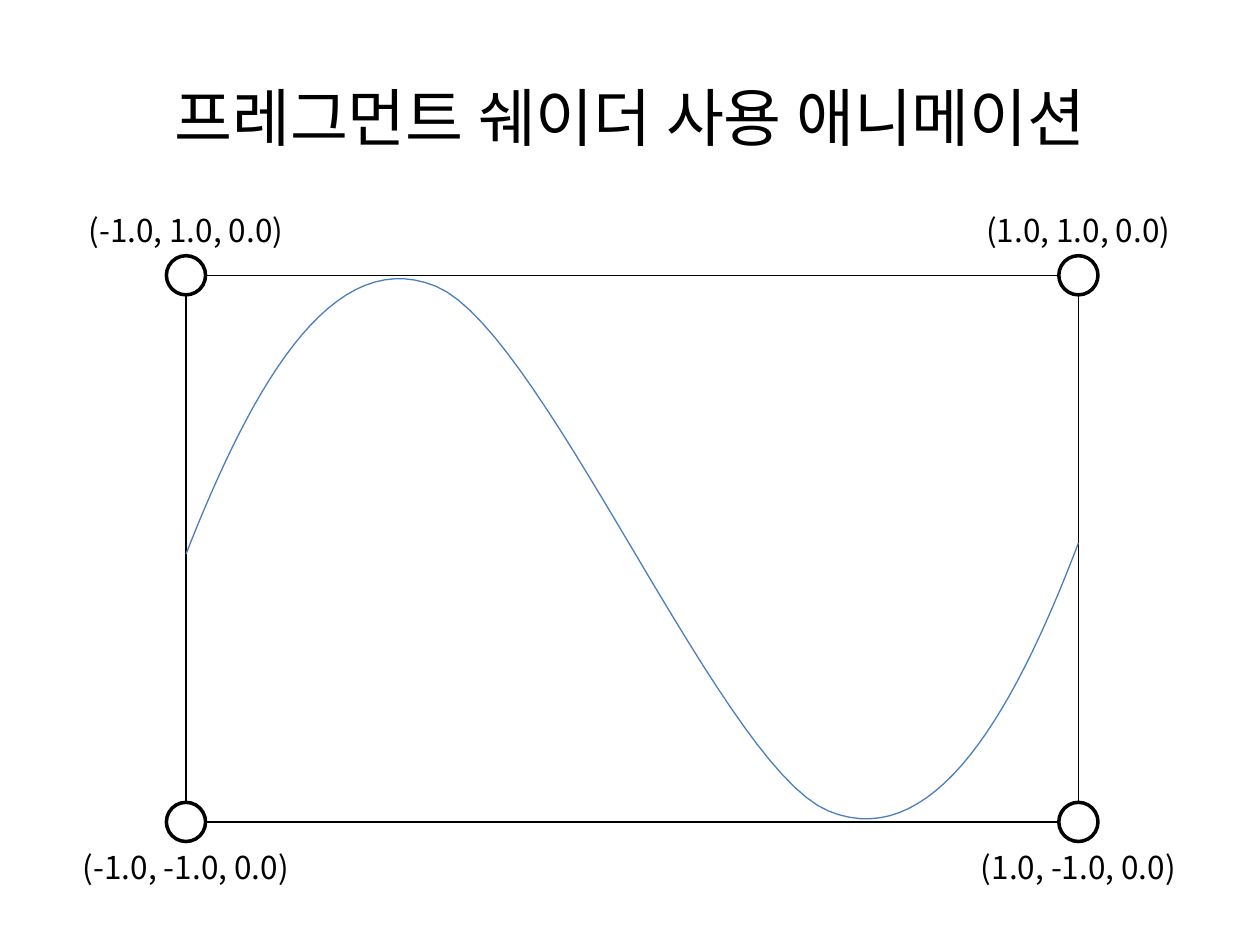
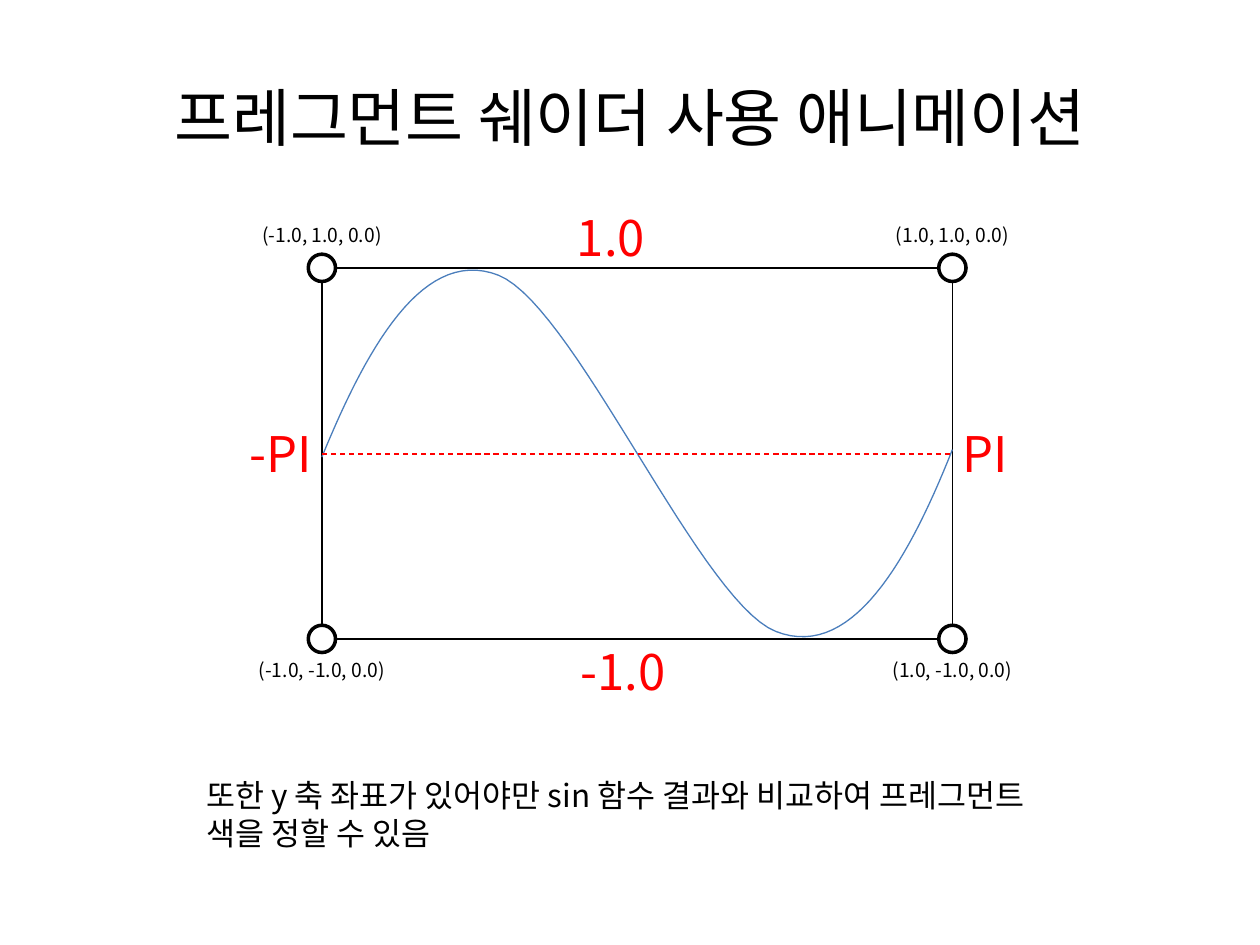
import dataclasses
import pptx
import pptx.util
import pptx.dml.color
import pptx.enum.dml
import pptx.enum.shapes
import pptx.enum.text
import pptx.oxml.ns
import lxml.etree

Cm, Pt = pptx.util.Cm, pptx.util.Pt
RGB = pptx.dml.color.RGBColor.from_string
ALIGN = pptx.enum.text.PP_ALIGN
ANCHOR = pptx.enum.text.MSO_ANCHOR
qn = pptx.oxml.ns.qn


@dataclasses.dataclass
class Theme:
    font: str = "Noto Sans CJK KR"
    ink: str = "000000"
    paper: str = "FFFFFF"
    accent: str = "FF0000"
    curve: str = "4B7EBC"
    title: float = 36
    range: float = 28
    body: float = 18
    small: float = 11
    ring: float = 2
    thin: float = 0.75


theme = Theme()


def write(shape, text, size, color, align):
    tf = shape.text_frame
    tf.word_wrap = True
    p = tf.paragraphs[0]
    p.alignment = align
    r = p.add_run()
    r.text = text
    r.font.name = theme.font
    r.font.size = Pt(size)
    r.font.color.rgb = RGB(color)
    lxml.etree.SubElement(r.font._element, qn("a:ea"), typeface=theme.font)
    return tf


def add_line(s, x1, y1, x2, y2, color):
    line = s.shapes.add_connector(
        pptx.enum.shapes.MSO_CONNECTOR.STRAIGHT, Cm(x1), Cm(y1), Cm(x2), Cm(y2))
    line.line.color.rgb = RGB(color)
    line.line.width = Pt(theme.thin)
    lxml.etree.SubElement(line._element.spPr, qn("a:effectLst"))
    return line


prs = pptx.Presentation()
prs.slide_width, prs.slide_height = Cm(25.4), Cm(19.05)

wave = [(0, 0.51), (0.07, 0.22), (0.16, -0.06), (0.28, 0.02), (0.4, 0.1),
        (0.6, 0.9), (0.72, 0.98), (0.84, 1.06), (0.93, 0.79), (1, 0.49)]
steps = 30
wave_points = []
for i in range(0, len(wave) - 1, 3):
    for k in range(steps + 1):
        t = k / steps
        weights = ((1 - t) ** 3, 3 * t * (1 - t) ** 2, 3 * t * t * (1 - t), t ** 3)
        wave_points.append([sum(w * c[axis] for w, c in zip(weights, wave[i:i + 4]))
                            for axis in (0, 1)])

diagrams = [
    (3.75, 5.55, 21.74, 16.57, 0.79, 5, 1.02, theme.body),
    (6.49, 5.4, 19.2, 12.88, 0.55, 3.53, 0.74, theme.small),
]

for left, top, right, bottom, ring, label_w, label_h, label_size in diagrams:
    s = prs.slides.add_slide(prs.slide_layouts[5])
    title = s.shapes.title
    title.left, title.top, title.width, title.height = Cm(1.27), Cm(0.76), Cm(22.86), Cm(3.18)
    tf = write(title, "프레그먼트 쉐이더 사용 애니메이션", theme.title, theme.ink, ALIGN.CENTER)
    tf.vertical_anchor = ANCHOR.MIDDLE

    half = ring / 2
    for y, sign, label_y in ((top, "", top - half - label_h), (bottom, "-", bottom + half)):
        add_line(s, left + half, y, right - half, y, theme.ink)
        for x, x_value in ((left, "-1.0"), (right, "1.0")):
            sp = s.shapes.add_shape(pptx.enum.shapes.MSO_SHAPE.OVAL,
                                    Cm(x - half), Cm(y - half), Cm(ring), Cm(ring))
            sp.shadow.inherit = False
            sp.fill.solid()
            sp.fill.fore_color.rgb = RGB(theme.paper)
            sp.line.color.rgb = RGB(theme.ink)
            sp.line.width = Pt(theme.ring)
            label = s.shapes.add_textbox(Cm(x - label_w / 2), Cm(label_y), Cm(label_w), Cm(label_h))
            write(label, f"({x_value}, {sign}1.0, 0.0)", label_size, theme.ink, ALIGN.CENTER)
    for x in (left, right):
        add_line(s, x, top + half, x, bottom - half, theme.ink)

    points = [(Cm(left + u * (right - left)), Cm(top + v * (bottom - top)))
              for u, v in wave_points]
    outline = s.shapes.build_freeform(*points[0])
    outline.add_line_segments(points[1:], close=False)
    curve = outline.convert_to_shape()
    curve.shadow.inherit = False
    curve.fill.background()
    curve.line.color.rgb = RGB(theme.curve)
    curve.line.width = Pt(theme.thin)

axis = add_line(s, left, 9.15, right, 9.15, theme.accent)
axis.line.dash_style = pptx.enum.dml.MSO_LINE.DASH

for text, x, y in (("-PI", 4.78, 8.42), ("PI", 19.15, 8.42),
                   ("1.0", 11.38, 4.06), ("-1.0", 11.46, 12.8)):
    tb = s.shapes.add_textbox(Cm(x), Cm(y), Cm(2.9), Cm(1.45))
    write(tb, text, theme.range, theme.accent, ALIGN.LEFT)

note = s.shapes.add_textbox(Cm(3.91), Cm(15.52), Cm(18.01), Cm(1.8))
write(note, "또한 y 축 좌표가 있어야만 sin 함수 결과와 비교하여 프레그먼트 색을 정할 수 있음",
      theme.body, theme.ink, ALIGN.LEFT)

prs.save("out.pptx")
